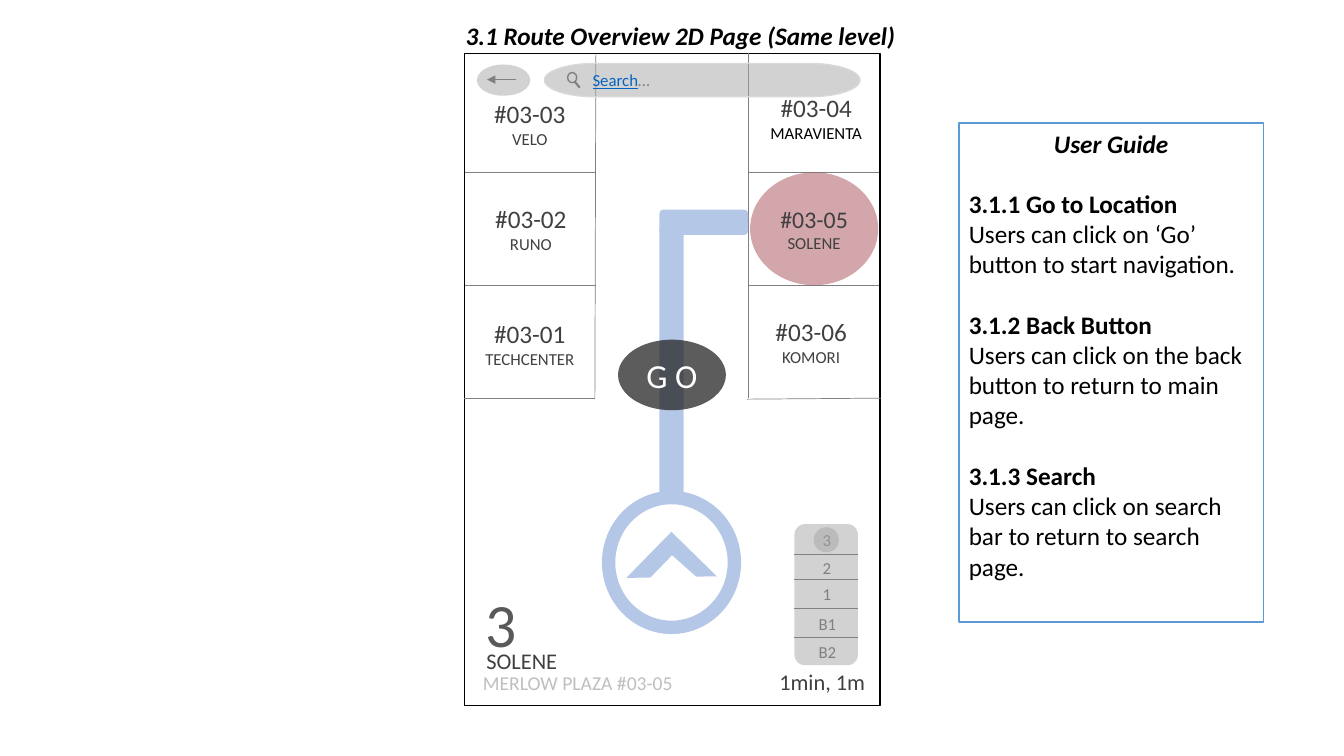
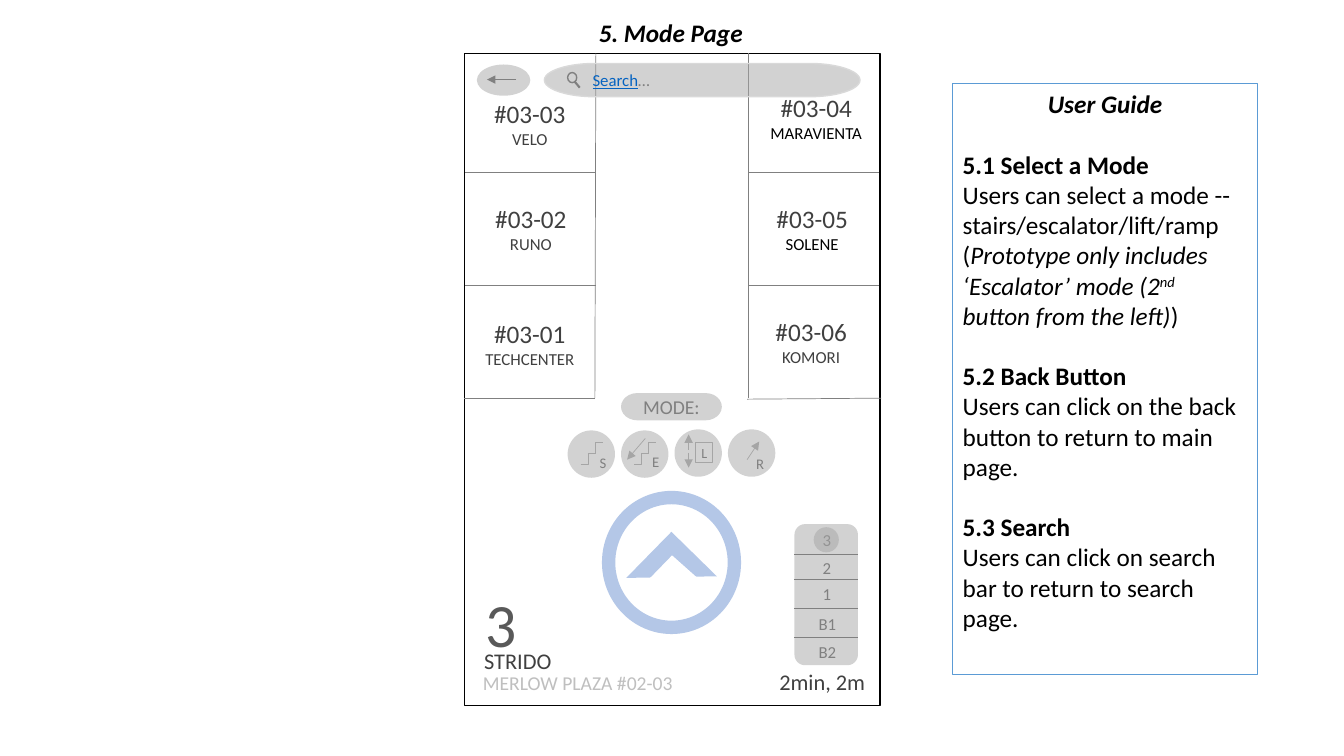
from pptx import Presentation
from pptx import util as u
from pptx.dml.color import RGBColor
from pptx.enum import shapes as kinds, text as t
from pptx.oxml import ns
from lxml import etree

WHITE = RGBColor(0xFF, 0xFF, 0xFF)
BLACK = RGBColor(0, 0, 0)
INK = RGBColor(0x26, 0x26, 0x26)
DARK = RGBColor(0x40, 0x40, 0x40)
SLATE = RGBColor(0x59, 0x59, 0x59)
GRAY = RGBColor(0x80, 0x80, 0x80)
ICON = RGBColor(0xA5, 0xA5, 0xA5)
PANEL = RGBColor(0xA6, 0xA6, 0xA6)
PALE = RGBColor(0xBF, 0xBF, 0xBF)
EDGE = RGBColor(0xD9, 0xD9, 0xD9)
ROUTE = RGBColor(0xB4, 0xC7, 0xE7)
PIN = RGBColor(0xA6, 0x4F, 0x58)
LINK = RGBColor(0x05, 0x63, 0xC1)
GUIDE = RGBColor(0x5B, 0x9B, 0xD5)

FONT = "Calibri"
PRESET = kinds.MSO_SHAPE
LEFT, CENTER = t.PP_ALIGN.LEFT, t.PP_ALIGN.CENTER
TITLE = {"size": u.Pt(18), "bold": True, "italic": True}
HEADING = {"size": u.Pt(18), "bold": True}
BODY = {"size": u.Pt(18)}
ITALIC = {"size": u.Pt(18), "italic": True}
BLANK_LINE = u.Pt(21.5)

STORES = [
    (7.47, 0.87, "#03-04", "MARAVIENTA", BLACK),
    (4.63, 0.93, "#03-03", "VELO", DARK),
    (7.42, 3.09, "#03-06", "KOMORI", DARK),
    (4.64, 1.97, "#03-02", "RUNO", DARK),
    (4.63, 3.11, "#03-01", "TECHCENTER", DARK),
]
WALLS = [
    (5.9, 3.95, 5.91, 0.53),
    (7.42, 3.95, 7.42, 0.53),
    (5.91, 1.71, 4.61, 1.71),
    (5.91, 2.83, 4.61, 2.83),
    (5.9, 3.95, 4.6, 3.95),
    (8.72, 1.71, 7.42, 1.71),
    (8.72, 2.83, 7.42, 2.83),
    (8.74, 3.95, 7.41, 3.96),
]
FLOORS = [
    (8.06, 5.21, 0.23, "3"),
    (8.06, 5.48, 0.23, "2"),
    (8.06, 5.74, 0.23, "1"),
    (8.02, 6.04, 0.5, "B1"),
    (8.02, 6.32, 0.5, "B2"),
]
FLOOR_DIVIDERS = [5.5, 5.75, 6.04, 6.32]


def inches(values):
    return [u.Inches(value) for value in values]


def add_run(paragraph, content, format_values, color):
    run = paragraph.add_run()
    run.text = content
    values = dict(format_values)
    baseline = values.pop("baseline", None)
    run.font.name = FONT
    run.font.color.rgb = values.pop("color", color)
    for name, value in values.items():
        setattr(run.font, name, value)
    if baseline:
        run.font._element.set("baseline", baseline)


def write(frame, paragraphs, color, align=LEFT):
    for index, runs in enumerate(paragraphs):
        paragraph = frame.paragraphs[0] if index == 0 else frame.add_paragraph()
        paragraph.alignment = align
        for content, format_values in runs:
            if content == "\n":
                paragraph.add_line_break()
            else:
                add_run(paragraph, content, format_values, color)


def add_text(shapes, box, content, size, color=GRAY, align=LEFT, wrap=True):
    shape = shapes.add_textbox(*inches(box))
    shape.text_frame.word_wrap = wrap
    write(shape.text_frame, [[(content, {"size": u.Pt(size)})]], color, align)


def add_shape(shapes, preset, box, fill=None, alpha=None, line=None, width=1, rotation=0):
    shape = shapes.add_shape(preset, *inches(box))
    shape.shadow.inherit = False
    shape.rotation = rotation
    if fill is None:
        shape.fill.background()
    else:
        shape.fill.solid()
        shape.fill.fore_color.rgb = fill
        if alpha:
            color = shape._element.spPr.find(".//" + ns.qn("a:srgbClr"))
            etree.SubElement(color, ns.qn("a:alpha")).set("val", str(alpha * 1000))
    if line is None:
        shape.line.fill.background()
    else:
        shape.line.color.rgb = line
        shape.line.width = u.Pt(width)
    return shape


def add_panel(shapes, preset, box, line=None):
    return add_shape(shapes, preset, box, PANEL, 50, line)


def add_line(shapes, ends, color=GRAY, width=0.5, arrow=False, kind=kinds.MSO_CONNECTOR.STRAIGHT):
    connector = shapes.add_connector(kind, *inches(ends))
    connector.line.color.rgb = color
    connector.line.width = u.Pt(width)
    if arrow:
        outline = connector.line._get_or_add_ln()
        etree.SubElement(outline, ns.qn("a:tailEnd")).set("type", "triangle")
    etree.SubElement(connector._element.spPr, ns.qn("a:effectLst"))


def store_lines(number, name, name_color, size=18):
    return [
        [(number, {"size": u.Pt(size)})],
        [(name, {"size": u.Pt(12), "color": name_color})],
    ]


def add_store(shapes, left, top, number, name, name_color):
    shape = shapes.add_textbox(*inches((left, top, 1.25, 0.61)))
    shape.text_frame.word_wrap = True
    write(shape.text_frame, store_lines(number, name, name_color), DARK, CENTER)


def add_search_bar(slide):
    shapes = slide.shapes.add_group_shape().shapes
    bar = add_panel(shapes, PRESET.FLOWCHART_TERMINATOR, (5.4, 0.63, 3.13, 0.33), EDGE)
    bar.text_frame.margin_left = u.Inches(0.33)
    bar.text_frame.vertical_anchor = t.MSO_ANCHOR.MIDDLE
    size = u.Pt(12)
    link = {"size": size, "color": LINK, "underline": True}
    write(bar.text_frame, [[("Search", link), ("…", {"size": size})]], GRAY)
    add_line(shapes, (5.7, 0.81, 5.75, 0.87), width=1.5)
    add_shape(shapes, PRESET.OVAL, (5.63, 0.72, 0.09, 0.1), line=GRAY)


def add_back_button(slide):
    shapes = slide.shapes.add_group_shape().shapes
    add_panel(shapes, PRESET.OVAL, (4.73, 0.64, 0.53, 0.31))
    add_line(shapes, (5.12, 0.79, 4.83, 0.79), arrow=True)


def add_compass(slide):
    shapes = slide.shapes.add_group_shape().shapes
    ring = add_shape(shapes, PRESET.DONUT, (5.97, 4.87, 1.38, 1.42), ROUTE)
    ring.adjustments[0] = 0.096
    add_shape(shapes, PRESET.RIGHT_TRIANGLE, (6.34, 5.41, 0.64, 0.63), ROUTE, rotation=134.4)
    add_shape(shapes, PRESET.ISOSCELES_TRIANGLE, (6.43, 5.51, 0.48, 0.23), WHITE, rotation=357.9)


def add_floor_picker(slide):
    shapes = slide.shapes.add_group_shape().shapes
    add_panel(shapes, PRESET.FLOWCHART_ALTERNATE_PROCESS, (7.88, 5.2, 0.63, 1.4))
    for top in FLOOR_DIVIDERS:
        add_line(shapes, (7.88, top, 8.51, top))
    for left, top, width, label in FLOORS:
        add_text(shapes, (left, top, width, 0.3), label, 12)
    add_panel(slide.shapes, PRESET.OVAL, (8.07, 5.23, 0.25, 0.25))


def add_phone(slide, shop, shop_left, address, distance):
    shapes = slide.shapes
    add_shape(shapes, PRESET.RECTANGLE, (4.61, 0.53, 4.12, 6.47), WHITE, line=BLACK)
    for ends in WALLS:
        add_line(shapes, ends)
    add_search_bar(slide)
    add_back_button(slide)
    for store in STORES:
        add_store(shapes, *store)
    add_compass(slide)
    add_floor_picker(slide)
    add_text(shapes, (4.72, 5.76, 0.55, 0.84), "3", 44, SLATE)
    add_text(shapes, (shop_left, 6.37, 1.25, 0.37), shop, 16, DARK, CENTER)
    add_text(shapes, (4.69, 6.61, 2.5, 0.34), address, 14, PALE)
    add_text(shapes, (7.53, 6.58, 1.25, 0.37), distance, 16, DARK, CENTER)


def add_title(slide, box, title):
    shape = slide.shapes.add_textbox(*inches(box))
    shape.text_frame.word_wrap = False
    write(shape.text_frame, [[(title, TITLE)]], BLACK)


def add_guide(slide, box, sections):
    shape = add_shape(slide.shapes, PRESET.RECTANGLE, box, WHITE, line=GUIDE)
    frame = shape.text_frame
    frame.vertical_anchor = t.MSO_ANCHOR.TOP
    paragraphs = [[("User Guide", TITLE)]]
    for heading, runs in sections:
        paragraphs += [[(heading, HEADING)], runs]
    write(frame, paragraphs, BLACK)
    frame.paragraphs[0].alignment = CENTER
    for paragraph in frame.paragraphs[1::2]:
        paragraph.space_before = BLANK_LINE


def shared_sections(back_number, search_number):
    return [
        (f"{back_number} Back Button",
         [("Users can click on the back button to return to main page.", BODY)]),
        (f"{search_number} Search",
         [("Users can click on search bar to return to search page.", BODY)]),
    ]


def add_route(slide):
    shapes = slide.shapes
    pin = add_shape(shapes, PRESET.OVAL, (7.44, 1.71, 1.27, 1.12), PIN, 50)
    write(pin.text_frame, store_lines("#03-05", "SOLENE", DARK, 17), DARK, CENTER)
    for box in [(6.54, 2.24, 0.24, 2.67), (6.54, 2.08, 0.88, 0.25)]:
        add_shape(shapes, PRESET.ROUNDED_RECTANGLE, box, ROUTE)
    button = add_shape(shapes, PRESET.OVAL, (6.13, 3.37, 1.07, 0.7), INK, 75)
    write(button.text_frame, [[("G O", {"size": u.Pt(24)})]], WHITE, CENTER)


def add_mode_button(slide, index, top):
    left = 5.63 + 0.53 * index
    shapes = slide.shapes.add_group_shape().shapes
    add_panel(shapes, PRESET.OVAL, (left, top, 0.47, 0.47))
    return shapes, left


def add_steps(shapes, left):
    for x, y in [(left, 4.61), (left + 0.07, 4.5)]:
        add_line(shapes, (x, y, x + 0.15, y - 0.11), ICON, 1, kind=kinds.MSO_CONNECTOR.ELBOW)


def add_modes(slide):
    label = add_panel(slide.shapes, PRESET.FLOWCHART_TERMINATOR, (6.16, 3.9, 1, 0.27))
    write(label.text_frame, [[("MODE:", {"size": u.Pt(14)})]], GRAY, CENTER)

    stairs, left = add_mode_button(slide, 0, 4.27)
    add_steps(stairs, left + 0.13)
    add_text(stairs, (left + 0.22, 4.45, 0.27, 0.28), "S", 10.5, wrap=False)

    escalator, left = add_mode_button(slide, 1, 4.27)
    add_steps(escalator, left + 0.13)
    add_text(escalator, (left + 0.21, 4.44, 0.27, 0.28), "E", 10.5, wrap=False)
    add_line(escalator, (left + 0.24, 4.35, left + 0.06, 4.56), ICON, arrow=True)

    lift, left = add_mode_button(slide, 2, 4.26)
    cabin = add_shape(lift, PRESET.RECTANGLE, (left + 0.21, 4.39, 0.17, 0.2), line=ICON)
    for side in ("left", "right", "top", "bottom"):
        setattr(cabin.text_frame, f"margin_{side}", 0)
    write(cabin.text_frame, [[("L", {"size": u.Pt(10)})]], GRAY, CENTER)
    for start, end in [(4.46, 4.31), (4.49, 4.64)]:
        add_line(lift, (left + 0.14, start, left + 0.14, end), ICON, arrow=True)

    ramp, left = add_mode_button(slide, 3, 4.26)
    add_text(ramp, (left + 0.18, 4.46, 0.28, 0.28), "R", 10.5, wrap=False)
    add_line(ramp, (left + 0.19, 4.56, left + 0.31, 4.38), ICON, arrow=True)


def build_route_slide(slide):
    add_phone(slide, "SOLENE", 4.55, "MERLOW PLAZA #03-05", "1min, 1m")
    add_route(slide)
    add_title(slide, (4.52, 0.15, 4.52, 0.4), "3.1 Route Overview 2D Page (Same level)")
    go = ("3.1.1 Go to Location",
          [("Users can click on ‘Go’ button to start navigation.", BODY)])
    add_guide(slide, (9.51, 1.22, 3.02, 4.95), [go] + shared_sections("3.1.2", "3.1.3"))


def build_mode_slide(slide):
    add_phone(slide, "STRIDO", 4.51, "MERLOW PLAZA #02-03", "2min, 2m")
    add_store(slide.shapes, 7.43, 1.97, "#03-05", "SOLENE", BLACK)
    add_modes(slide)
    add_title(slide, (5.84, 0.12, 1.65, 0.4), "5. Mode Page")
    select = ("5.1 Select a Mode", [
        ("Users can select a mode -- stairs/escalator/lift/ramp", BODY),
        ("\n", BODY),
        ("(", BODY),
        ("Prototype only includes ‘Escalator’ mode (2", ITALIC),
        ("nd", {**ITALIC, "baseline": "30000"}),
        (" button from the left)", ITALIC),
        (")", BODY),
    ])
    add_guide(slide, (9.45, 0.83, 3.02, 5.86), [select] + shared_sections("5.2", "5.3"))


def main():
    presentation = Presentation()
    presentation.slide_width = u.Inches(13.33)
    presentation.slide_height = u.Inches(7.5)
    for build in (build_route_slide, build_mode_slide):
        build(presentation.slides.add_slide(presentation.slide_layouts[6]))
    presentation.save("out.pptx")


if __name__ == "__main__":
    main()
